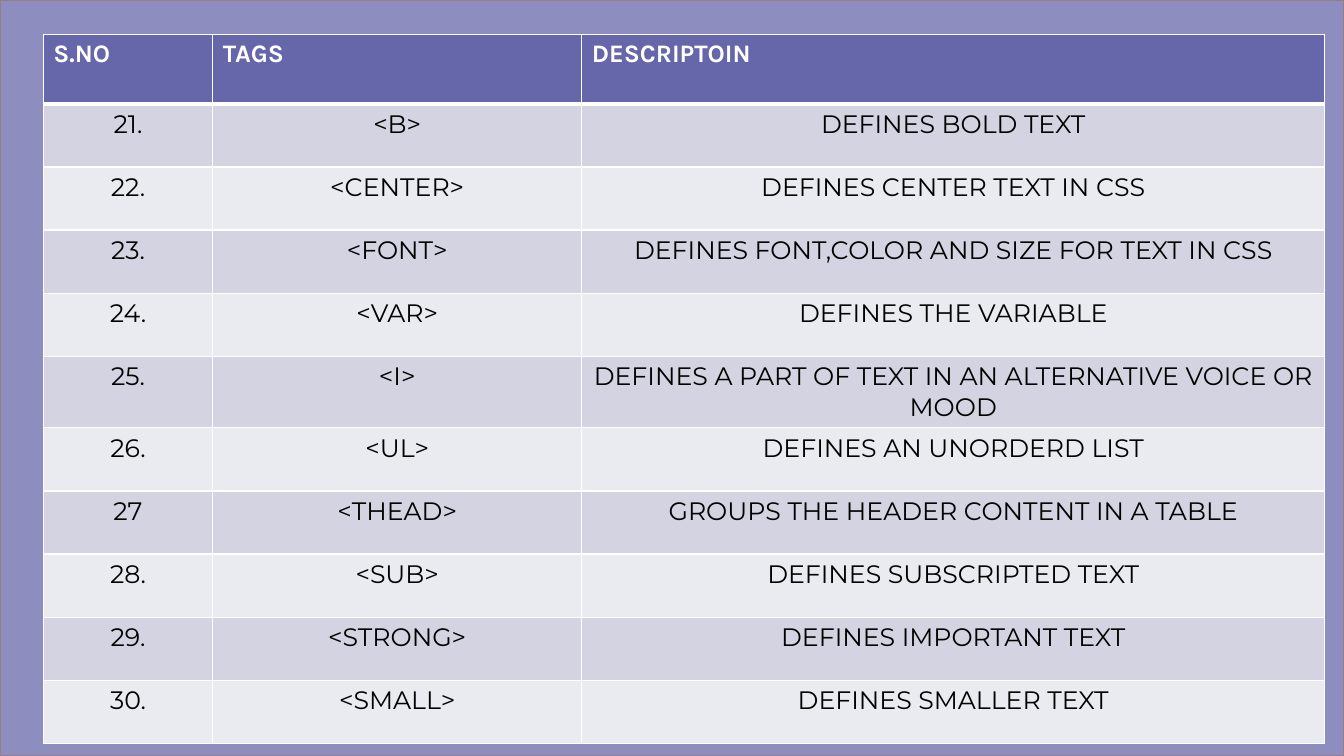
"""Build a slide with a table of HTML tags 21 to 30."""
from lxml import etree
from pptx import Presentation
from pptx.dml.color import RGBColor
from pptx.enum.shapes import MSO_SHAPE
from pptx.enum.text import PP_ALIGN
from pptx.oxml.ns import qn
from pptx.util import Inches, Pt

ROWS = [
    ("S.NO", "TAGS", "DESCRIPTOIN"),
    ("21.", "<B>", "DEFINES BOLD TEXT"),
    ("22.", "<CENTER>", "DEFINES CENTER TEXT IN CSS"),
    ("23.", "<FONT>", "DEFINES FONT,COLOR AND SIZE FOR TEXT IN CSS"),
    ("24.", "<VAR>", "DEFINES THE VARIABLE"),
    ("25.", "<I>", "DEFINES A PART OF TEXT IN AN ALTERNATIVE VOICE OR MOOD"),
    ("26.", "<UL>", "DEFINES AN UNORDERD LIST"),
    ("27", "<THEAD>", "GROUPS THE HEADER CONTENT IN A TABLE"),
    ("28.", "<SUB>", "DEFINES SUBSCRIPTED TEXT"),
    ("29.", "<STRONG>", "DEFINES IMPORTANT TEXT"),
    ("30.", "<SMALL>", "DEFINES SMALLER TEXT"),
]
COLS = (1.68, 3.66, 7.37)
LEFT, TOP, HIGH, HEAD_H = 0.43, 0.34, 6.95, 0.69

WHITE = RGBColor(0xFF, 0xFF, 0xFF)
BLACK = RGBColor(0, 0, 0)
BACK = RGBColor(0x67, 0x68, 0xAB)
EDGE = RGBColor(0x92, 0x80, 0x82)
HEAD = RGBColor(0x66, 0x67, 0xAB)
BANDS = (RGBColor(0xEA, 0xEB, 0xF1), RGBColor(0xD3, 0xD3, 0xE2))
RECT = MSO_SHAPE.RECTANGLE
CENTER = PP_ALIGN.CENTER


def add_back(slide, width, height):
    back = slide.shapes.add_shape(RECT, 0, 0, width, height)
    back.shadow.inherit = False
    back.fill.solid()
    back.fill.fore_color.rgb = BACK
    color = back.fill._xPr.find(qn("a:solidFill"))[0]
    etree.SubElement(color, qn("a:alpha"), val="75000")
    back.line.color.rgb = EDGE
    back.line.width = Pt(1)


def set_edges(cell, row):
    props = cell._tc.get_or_add_tcPr()
    thick = {(0, "B"), (1, "T")}
    for place, side in enumerate("LRTB"):
        size = Pt(3 if (row, side) in thick else 1)
        line = etree.Element(qn(f"a:ln{side}"), w=str(size))
        fill = etree.SubElement(line, qn("a:solidFill"))
        etree.SubElement(fill, qn("a:srgbClr"), val=str(WHITE))
        props.insert(place, line)


def set_cell(cell, text, row):
    head = row == 0
    cell.fill.solid()
    cell.fill.fore_color.rgb = HEAD if head else BANDS[row % 2]
    set_edges(cell, row)
    para = cell.text_frame.paragraphs[0]
    para.text = text
    if not head:
        para.alignment = CENTER
    font = para.runs[0].font
    font.name = "Karla" if head else "Montserrat"
    font.size = Pt(18)
    font.bold = head
    font.color.rgb = WHITE if head else BLACK


def add_tags(slide):
    frame = slide.shapes.add_table(
        len(ROWS), len(COLS), Inches(LEFT), Inches(TOP),
        Inches(sum(COLS)), Inches(HIGH))
    table = frame.table
    for col, width in zip(table.columns, COLS):
        col.width = Inches(width)
    body = (HIGH - HEAD_H) / (len(ROWS) - 1)
    for row, texts in enumerate(ROWS):
        table.rows[row].height = Inches(body if row else HEAD_H)
        for col, text in enumerate(texts):
            set_cell(table.cell(row, col), text, row)


def main():
    deck = Presentation()
    deck.slide_width = Inches(13.33)
    deck.slide_height = Inches(7.5)
    slide = deck.slides.add_slide(deck.slide_layouts[6])
    add_back(slide, deck.slide_width, deck.slide_height)
    add_tags(slide)
    deck.save("out.pptx")


if __name__ == "__main__":
    main()
